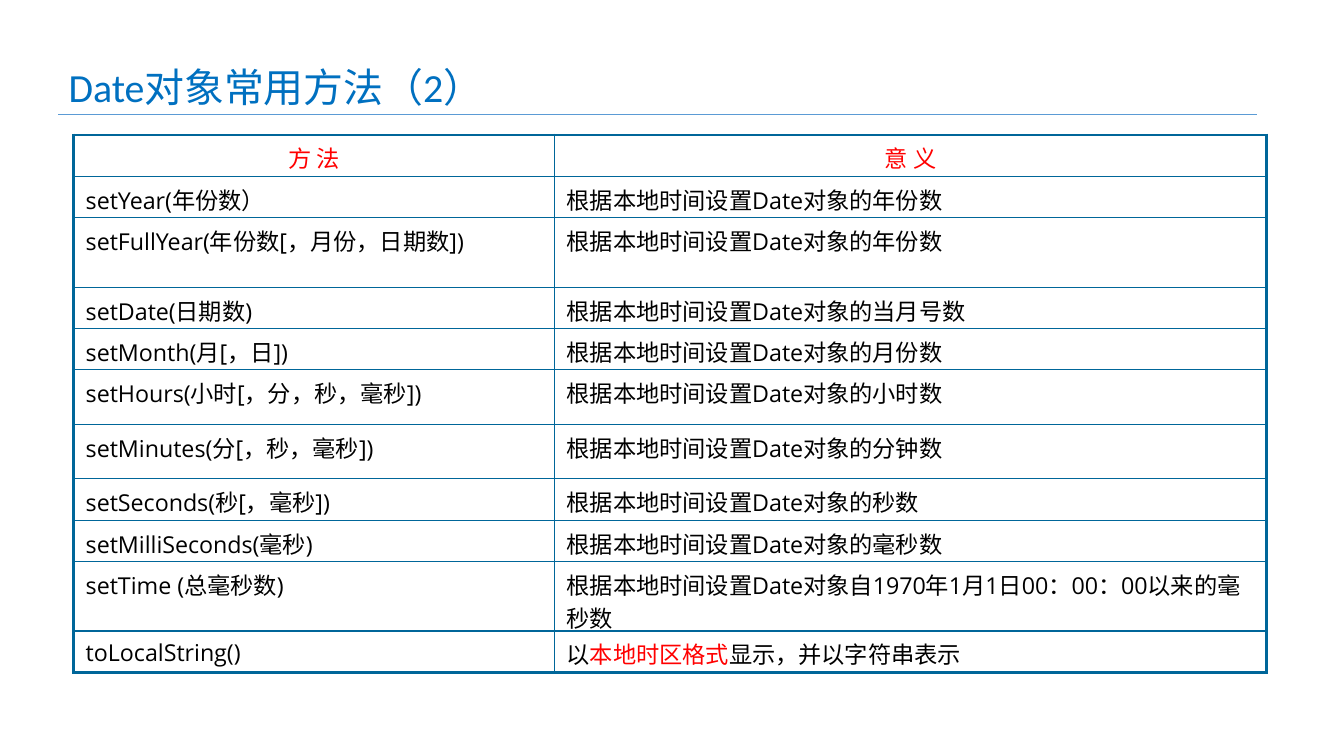
from dataclasses import dataclass
from typing import Any

from lxml.etree import SubElement
from pptx import Presentation
from pptx.dml.color import RGBColor
from pptx.enum.shapes import MSO_CONNECTOR
from pptx.enum.text import MSO_ANCHOR, MSO_AUTO_SIZE, PP_ALIGN
from pptx.oxml.ns import qn
from pptx.util import Pt


@dataclass(frozen=True)
class Theme:
    title_color: str = "0070C0"
    rule_color: str = "5B9BD5"
    border_color: str = "006699"
    accent: str = "FF0000"
    ink: str = "000000"
    title_font: str = "Calibri"
    table_font: str = "Open Sans"
    title_size: float = 28.5
    table_size: float = 16.6
    thin: float = 1
    thick: float = 2.25


@dataclass(frozen=True)
class Span:
    text: str
    color: str


@dataclass(frozen=True)
class MethodRow:
    method: str
    meaning: str | tuple[Span, ...]
    height: float = 29.5


THEME = Theme()
SETTER = "根据本地时间设置Date对象"
HEADER = MethodRow("方 法", "意 义")
METHODS = [
    MethodRow("setYear(年份数）", SETTER + "的年份数"),
    MethodRow("setFullYear(年份数[，月份，日期数])", SETTER + "的年份数", 49.7),
    MethodRow("setDate(日期数)", SETTER + "的当月号数"),
    MethodRow("setMonth(月[，日])", SETTER + "的月份数"),
    MethodRow("setHours(小时[，分，秒，毫秒])", SETTER + "的小时数", 39),
    MethodRow("setMinutes(分[，秒，毫秒])", SETTER + "的分钟数", 39),
    MethodRow("setSeconds(秒[，毫秒])", SETTER + "的秒数"),
    MethodRow("setMilliSeconds(毫秒)", SETTER + "的毫秒数"),
    MethodRow("setTime (总毫秒数)", SETTER + "自1970年1月1日00：00：00以来的毫秒数", 49.7),
    MethodRow("toLocalString()", (
        Span("以", THEME.ink),
        Span("本地时区格式", THEME.accent),
        Span("显示，并以字符串表示", THEME.ink),
    )),
]
COLUMN_WIDTHS = (343.6, 508.6)


def apply_format(target: Any, values: dict[str, Any]) -> None:
    for name, value in values.items():
        setattr(target, name, value)


def add_span(para: Any, span: Span, font: str, size: float) -> None:
    run = para.add_run()
    run.text = span.text
    apply_format(run.font, {"name": font, "size": Pt(size), "bold": False})
    run.font.color.rgb = RGBColor.from_string(span.color)


def add_title(page: Any, text: str) -> None:
    title = page.shapes.title
    apply_format(title, {"left": Pt(41.8), "top": Pt(33.8),
                         "width": Pt(633.6), "height": Pt(49)})
    apply_format(title.text_frame, {
        "word_wrap": True,
        "auto_size": MSO_AUTO_SIZE.SHAPE_TO_FIT_TEXT,
        "vertical_anchor": MSO_ANCHOR.MIDDLE,
    })
    para = title.text_frame.paragraphs[0]
    apply_format(para, {"alignment": PP_ALIGN.LEFT, "line_spacing": 1.2})
    add_span(para, Span(text, THEME.title_color), THEME.title_font, THEME.title_size)


def add_rule(page: Any) -> None:
    rule = page.shapes.add_connector(
        MSO_CONNECTOR.STRAIGHT, Pt(41.8), Pt(81.6), Pt(897.8), Pt(81.6))
    rule.line.color.rgb = RGBColor.from_string(THEME.rule_color)
    rule.line.width = Pt(0.25)
    SubElement(rule._element.spPr, qn("a:effectLst"))


def set_borders(cell: Any, outer_edges: dict[str, bool]) -> None:
    properties = cell._tc.get_or_add_tcPr()
    for edge, is_outer in outer_edges.items():
        width = Pt(THEME.thick if is_outer else THEME.thin)
        line = SubElement(properties, qn(f"a:{edge}"), w=str(int(width)))
        fill = SubElement(line, qn("a:solidFill"))
        SubElement(fill, qn("a:srgbClr"), val=THEME.border_color)


def fill_cell(cell: Any, spans: tuple[Span, ...], alignment: PP_ALIGN) -> None:
    apply_format(cell, {
        "margin_left": Pt(8.64), "margin_right": Pt(8.64),
        "margin_top": Pt(4.32), "margin_bottom": Pt(4.32),
        "vertical_anchor": MSO_ANCHOR.TOP,
    })
    para = cell.text_frame.paragraphs[0]
    para.alignment = alignment
    # Space before, as a share of the line height
    space = SubElement(para._p.get_or_add_pPr(), qn("a:spcBef"))
    SubElement(space, qn("a:spcPct"), val="20000")
    for span in spans:
        add_span(para, span, THEME.table_font, THEME.table_size)


def add_method_table(page: Any, rows: list[MethodRow]) -> None:
    height = sum(row.height for row in rows)
    table = page.shapes.add_table(
        len(rows), len(COLUMN_WIDTHS), Pt(52.6), Pt(96.5),
        Pt(sum(COLUMN_WIDTHS)), Pt(height)).table
    apply_format(table, {"first_row": False, "horz_banding": False})
    for column, width in zip(table.columns, COLUMN_WIDTHS):
        column.width = Pt(width)

    last_row, last_column = len(rows) - 1, len(COLUMN_WIDTHS) - 1
    for row_index, row in enumerate(rows):
        table.rows[row_index].height = Pt(row.height)
        is_header = row_index == 0
        color = THEME.accent if is_header else THEME.ink
        alignment = PP_ALIGN.CENTER if is_header else PP_ALIGN.LEFT
        for column_index, content in enumerate((row.method, row.meaning)):
            cell = table.cell(row_index, column_index)
            spans = (Span(content, color),) if isinstance(content, str) else content
            fill_cell(cell, spans, alignment)
            set_borders(cell, {
                "lnL": column_index == 0,
                "lnR": column_index == last_column,
                "lnT": is_header,
                "lnB": row_index == last_row,
            })
            cell.fill.background()


def main() -> None:
    deck = Presentation()
    apply_format(deck, {"slide_width": Pt(960), "slide_height": Pt(540)})
    page = deck.slides.add_slide(deck.slide_layouts.get_by_name("Title Only"))

    # Heading
    add_title(page, "Date对象常用方法（2）")
    add_rule(page)

    # Methods and their meanings
    add_method_table(page, [HEADER, *METHODS])
    deck.save("out.pptx")


if __name__ == "__main__":
    main()
